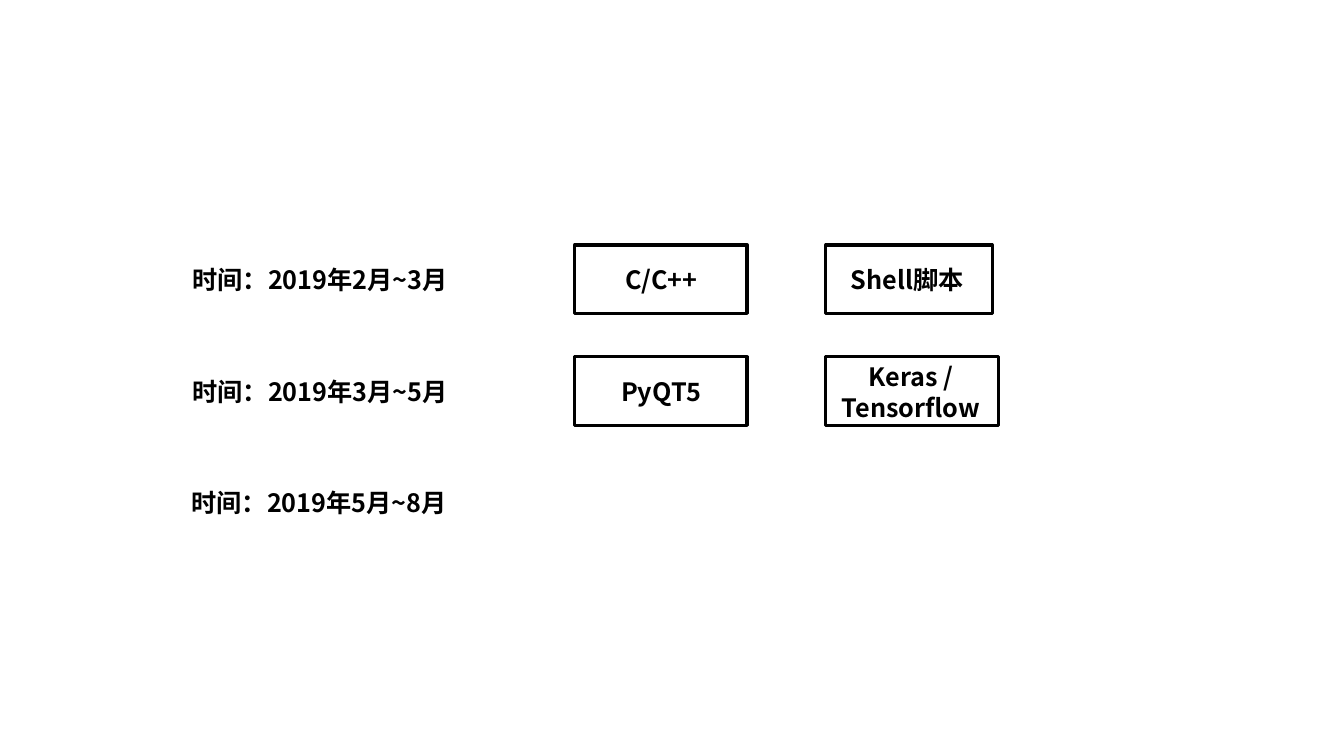
from dataclasses import dataclass

import lxml.etree
import pptx
import pptx.dml.color
import pptx.enum.shapes
import pptx.enum.text
import pptx.oxml.ns
import pptx.util

Inches = pptx.util.Inches


@dataclass(frozen=True)
class Theme:
    ink: pptx.dml.color.RGBColor = pptx.dml.color.RGBColor(0, 0, 0)
    font: str = "Noto Sans CJK SC"
    text_size: float = 18
    line_width: float = 2.24


THEME = Theme()
FIRST_ROW_TOP = 2.43
ROW_STEP = 1.11
FRAME_HEIGHT = 0.68
LABEL_INSET = 0.14
SKILL_LEFTS = (5.7, 8.19)

PERIODS = [
    ("时间：2019年2月~3月", 1.45, 3.45),
    ("时间：2019年3月~5月", 1.45, 3.45),
    ("时间：2019年5月~8月", 1.49, 3.35),
]
SKILLS = [
    [("C/C++", 1.71, (0.15, LABEL_INSET, 1.42, 0.4)),
     ("Shell脚本", 1.65, (0.06, LABEL_INSET, 1.5, 0.4))],
    [("PyQT5", 1.71, (0.15, LABEL_INSET, 1.42, 0.4)),
     ("Keras / Tensorflow", 1.71, (-0.2, 0, 2.09, 0.7))],
]


def add_label(slide, text, left, top, width, height):
    label = slide.shapes.add_textbox(
        Inches(left), Inches(top), Inches(width), Inches(height))
    text_frame = label.text_frame
    text_frame.word_wrap = True
    text_frame.text = text
    paragraph = text_frame.paragraphs[0]
    paragraph.alignment = pptx.enum.text.PP_ALIGN.CENTER
    for run in paragraph.runs:
        run.font.name = THEME.font
        run.font.size = pptx.util.Pt(THEME.text_size)
        run.font.bold = True
        run.font.color.rgb = THEME.ink
        east_asian = lxml.etree.SubElement(
            run.font._element, pptx.oxml.ns.qn("a:ea"))
        east_asian.set("typeface", THEME.font)


def add_skill(slide, text, left, top, width, label_box):
    frame = slide.shapes.add_shape(
        pptx.enum.shapes.MSO_SHAPE.RECTANGLE,
        Inches(left), Inches(top), Inches(width), Inches(FRAME_HEIGHT))
    frame.shadow.inherit = False
    frame.fill.background()
    frame.line.color.rgb = THEME.ink
    frame.line.width = pptx.util.Pt(THEME.line_width)
    inset_left, inset_top, label_width, label_height = label_box
    add_label(slide, text, left + inset_left, top + inset_top,
              label_width, label_height)


def add_skill_row(slide, skills, top):
    for left, (text, width, label_box) in zip(SKILL_LEFTS, skills):
        add_skill(slide, text, left, top, width, label_box)


def add_periods(slide, top):
    for row, (text, left, width) in enumerate(PERIODS):
        add_label(slide, text, left, top + row * ROW_STEP + LABEL_INSET,
                  width, 0.7)


def build_timeline_slide(presentation):
    slide = presentation.slides.add_slide(presentation.slide_layouts[6])
    for row, skills in enumerate(SKILLS):
        add_skill_row(slide, skills, FIRST_ROW_TOP + row * ROW_STEP)
    add_periods(slide, FIRST_ROW_TOP)


presentation = pptx.Presentation()
presentation.slide_width = Inches(13.33)
presentation.slide_height = Inches(7.5)
build_timeline_slide(presentation)
presentation.save("out.pptx")
